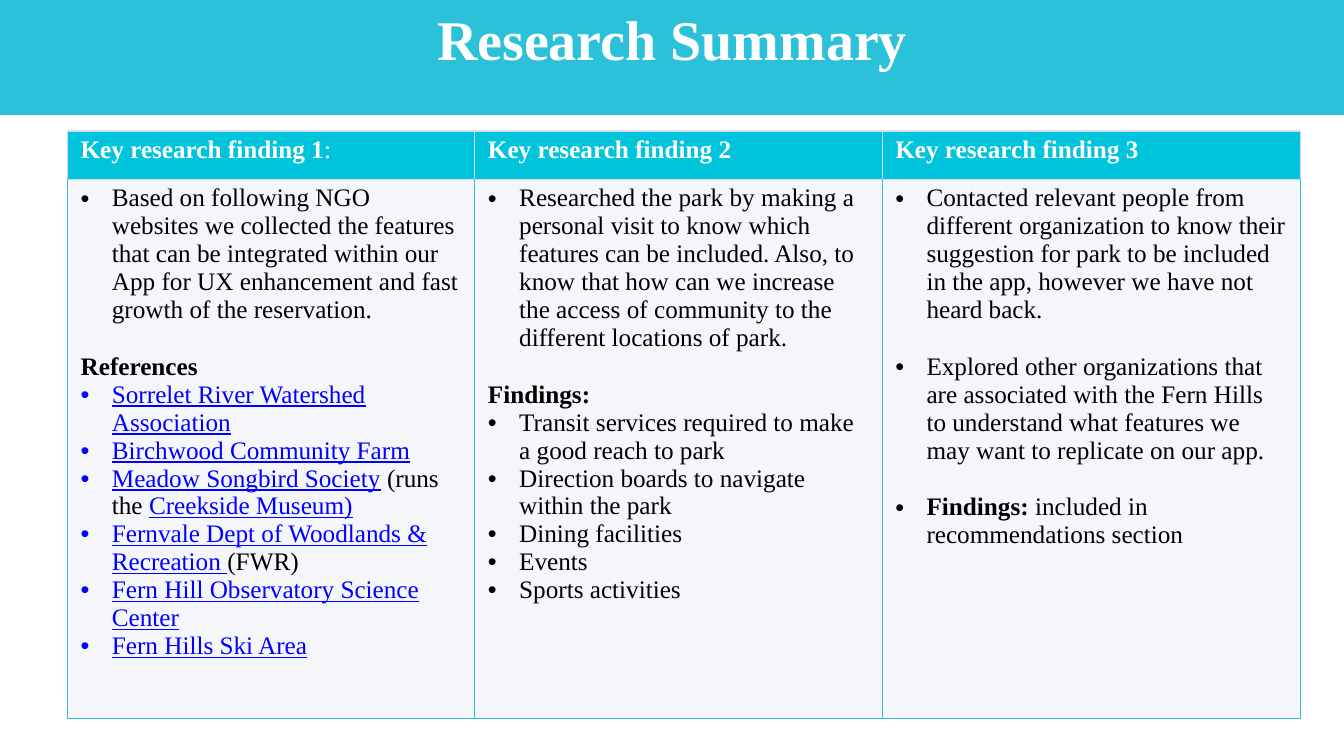
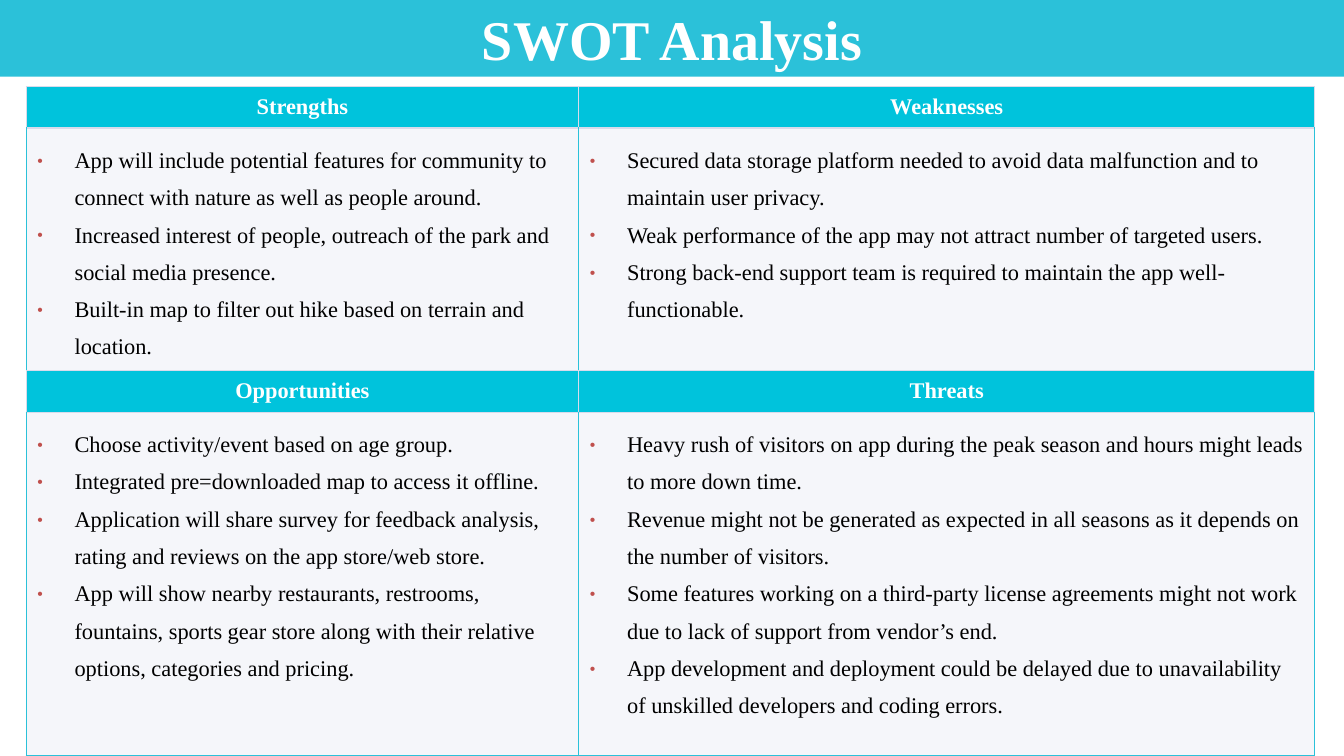
"""Build the research summary and SWOT analysis slides."""
from dataclasses import dataclass

from lxml import etree
from pptx import Presentation
from pptx.dml import color as dml
from pptx.enum import shapes, text
from pptx.oxml import ns
from pptx.util import Inches, Pt

FONT = "Times New Roman"
COLORS = {
    "band": "2BC1D9",
    "header": "00C3DC",
    "body": "F5F6FA",
    "grid": "D8DBEB",
    "white": "FFFFFF",
    "ink": "000000",
    "link": "0000FF",
    "accent": "C0504D",
}
FORMATS = {
    "title": {"color": "white", "bold": True},
    "heading": {"color": "white", "bold": True},
    "heading_plain": {"color": "white", "bold": False},
    "plain": {"color": "ink", "bold": False},
    "strong": {"color": "ink", "bold": True},
    "link": {"color": "link", "bold": False, "underline": True},
}


@dataclass(frozen=True)
class Line:
    runs: tuple[tuple[str, str], ...]
    bullet: bool = True
    gap: float = 0


@dataclass(frozen=True)
class TableStyle:
    size: int
    margins: tuple[float, float]
    indent: float
    align: text.PP_ALIGN = text.PP_ALIGN.LEFT
    spacing: float | None = None
    bullet_color: str | None = None
    bullet_percent: int | None = None


@dataclass(frozen=True)
class Panel:
    title: str
    band_height: float
    origin: tuple[float, float]
    columns: tuple[float, ...]
    rows: tuple[float, ...]
    cells: tuple[tuple[tuple[Line, ...], ...], ...]
    style: TableStyle


def line(words: str, style: str = "plain", **options) -> Line:
    return Line(((words, style),), **options)


def lines(*sentences: str) -> tuple[Line, ...]:
    return tuple(line(sentence) for sentence in sentences)


def headings(*names: str) -> tuple[tuple[Line, ...], ...]:
    return tuple((line(name, "heading", bullet=False),) for name in names)


BLANK_LINE = 20.7

RESEARCH = Panel(
    title="Research Summary",
    band_height=1.14,
    origin=(0.67, 1.3),
    columns=(4.04, 4.04, 4.15),
    rows=(0.48, 5.35),
    style=TableStyle(size=18, margins=(0.13, 0.05), indent=0.31),
    cells=(
        (
            (Line((("Key research finding 1", "heading"), (":", "heading_plain")), bullet=False),),
            *headings("Key research finding 2", "Key research finding 3"),
        ),
        (
            (
                line("Based on following NGO websites we collected the features that can be "
                     "integrated within our App for UX enhancement and fast growth of the reservation."),
                line("References", "strong", bullet=False, gap=BLANK_LINE),
                line("Sorrelet River Watershed Association", "link"),
                line("Birchwood Community Farm", "link"),
                Line((("Meadow Songbird Society", "link"), (" (runs the ", "plain"),
                      ("Creekside Museum)", "link"))),
                Line((("Fernvale Dept of Woodlands & Recreation ", "link"), ("(FWR)", "plain"))),
                line("Fern Hill Observatory Science Center", "link"),
                line("Fern Hills Ski Area", "link"),
            ),
            (
                line("Researched the park by making a personal visit to know which features can be "
                     "included. Also, to know that how can we increase the access of community to "
                     "the different locations of park."),
                line("Findings:", "strong", bullet=False, gap=BLANK_LINE),
                *lines(
                    "Transit services required to make a good reach to park",
                    "Direction boards to navigate within the park",
                    "Dining facilities",
                    "Events",
                    "Sports activities",
                ),
            ),
            (
                line("Contacted relevant people from different organization to know their "
                     "suggestion for park to be included in the app, however we have not heard back."),
                line("Explored other organizations that are associated with the Fern Hills to "
                     "understand what features we may want to replicate on our app.", gap=BLANK_LINE),
                Line((("Findings: ", "strong"), ("included in recommendations section", "plain")),
                     gap=BLANK_LINE),
            ),
        ),
    ),
)

SWOT = Panel(
    title="SWOT Analysis",
    band_height=0.76,
    origin=(0.26, 0.86),
    columns=(5.48, 7.3),
    rows=(0.41, 2.41, 0.41, 3.41),
    style=TableStyle(size=16, margins=(0.11, 0.08), indent=0.37, align=text.PP_ALIGN.CENTER,
                     spacing=1.5, bullet_color="accent", bullet_percent=70),
    cells=(
        headings("Strengths", "Weaknesses"),
        (
            lines(
                "App will include potential features for community to connect with nature as well "
                "as people around.",
                "Increased interest of people, outreach of the park and social media presence.",
                "Built-in map to filter out hike based on terrain and location.",
            ),
            lines(
                "Secured data storage platform needed to avoid data malfunction and to maintain "
                "user privacy.",
                "Weak performance of the app may not attract number of targeted users.",
                "Strong back-end support team is required to maintain the app well-functionable.",
            ),
        ),
        headings("Opportunities", "Threats"),
        (
            lines(
                "Choose activity/event based on age group.",
                "Integrated pre=downloaded map to access it offline.",
                "Application will share survey for feedback analysis, rating and reviews on the "
                "app store/web store.",
                "App will show nearby restaurants, restrooms, fountains, sports gear store along "
                "with their relative options, categories and pricing.",
            ),
            lines(
                "Heavy rush of visitors on app during the peak season and hours might leads to "
                "more down time.",
                "Revenue might not be generated as expected in all seasons as it depends on the "
                "number of visitors.",
                "Some features working on a third-party license agreements might not work due to "
                "lack of support from vendor’s end.",
                "App development and deployment could be delayed due to unavailability of "
                "unskilled developers and coding errors.",
            ),
        ),
    ),
)


def rgb(name: str) -> dml.RGBColor:
    return dml.RGBColor.from_string(COLORS[name])


def add_child(parent, tag: str, **attributes: str):
    return etree.SubElement(parent, ns.qn(tag), attributes)


def add_run(paragraph, words: str, style: str, size: int) -> None:
    run = paragraph.add_run()
    run.text = words
    values = {"name": FONT, "size": Pt(size), **FORMATS[style]}
    run.font.color.rgb = rgb(values.pop("color"))
    for attribute, value in values.items():
        setattr(run.font, attribute, value)


def add_bullet(paragraph, style: TableStyle) -> None:
    properties = paragraph._p.get_or_add_pPr()
    properties.set("marL", str(Inches(style.indent)))
    properties.set("indent", str(-Inches(style.indent)))
    if style.bullet_color:
        add_child(add_child(properties, "a:buClr"), "a:srgbClr", val=COLORS[style.bullet_color])
    if style.bullet_percent:
        add_child(properties, "a:buSzPct", val=str(style.bullet_percent * 1000))
    add_child(properties, "a:buFont", typeface="Arial")
    add_child(properties, "a:buChar", char="•")


def add_borders(cell, sides: dict[str, str]) -> None:
    properties = cell._tc.get_or_add_tcPr()
    for side, name in sides.items():
        border = add_child(properties, f"a:ln{side}", w=str(Pt(1)))
        add_child(add_child(border, "a:solidFill"), "a:srgbClr", val=COLORS[name])


def fill_cell(cell, content: tuple[Line, ...], style: TableStyle, header: bool, last: bool) -> None:
    edge = "grid" if header else "band"
    add_borders(cell, {"L": edge, "R": edge, "T": "grid", "B": "band" if last else "grid"})
    cell.fill.solid()
    cell.fill.fore_color.rgb = rgb("header" if header else "body")
    across, down = (Inches(margin) for margin in style.margins)
    margins = {"margin_left": across, "margin_right": across, "margin_top": down, "margin_bottom": down}
    for attribute, value in margins.items():
        setattr(cell, attribute, value)
    for index, item in enumerate(content):
        frame = cell.text_frame
        paragraph = frame.add_paragraph() if index else frame.paragraphs[0]
        paragraph.alignment = style.align if header else text.PP_ALIGN.LEFT
        paragraph.space_before = Pt(item.gap)
        if item.bullet:
            paragraph.line_spacing = style.spacing
            add_bullet(paragraph, style)
        for words, look in item.runs:
            add_run(paragraph, words, look, style.size)


def add_title_band(slide, title: str, width: int, height: float) -> None:
    band = slide.shapes.add_shape(shapes.MSO_SHAPE.RECTANGLE, 0, 0, width, Inches(height))
    band.shadow.inherit = False
    band.fill.solid()
    band.fill.fore_color.rgb = rgb("band")
    band.line.fill.background()
    frame = band.text_frame
    values = {"vertical_anchor": text.MSO_ANCHOR.TOP, "margin_top": Inches(0.05),
              "margin_bottom": 0, "word_wrap": True}
    for attribute, value in values.items():
        setattr(frame, attribute, value)
    frame.paragraphs[0].alignment = text.PP_ALIGN.CENTER
    add_run(frame.paragraphs[0], title, "title", 40)


def add_panel_table(slide, panel: Panel) -> None:
    box = (*panel.origin, sum(panel.columns), sum(panel.rows))
    table = slide.shapes.add_table(len(panel.rows), len(panel.columns), *map(Inches, box)).table
    table.first_row = table.horz_banding = False
    for column, width in zip(table.columns, panel.columns):
        column.width = Inches(width)
    for row, height in zip(table.rows, panel.rows):
        row.height = Inches(height)
    for row_index, contents in enumerate(panel.cells):
        for column_index, content in enumerate(contents):
            fill_cell(table.cell(row_index, column_index), content, panel.style,
                      header=row_index % 2 == 0, last=row_index == len(panel.rows) - 1)


def main() -> None:
    deck = Presentation()
    deck.slide_width, deck.slide_height = Inches(13.33), Inches(7.5)
    for panel in (RESEARCH, SWOT):
        slide = deck.slides.add_slide(deck.slide_layouts[6])
        add_title_band(slide, panel.title, deck.slide_width, panel.band_height)
        add_panel_table(slide, panel)
    deck.save("out.pptx")


if __name__ == "__main__":
    main()
